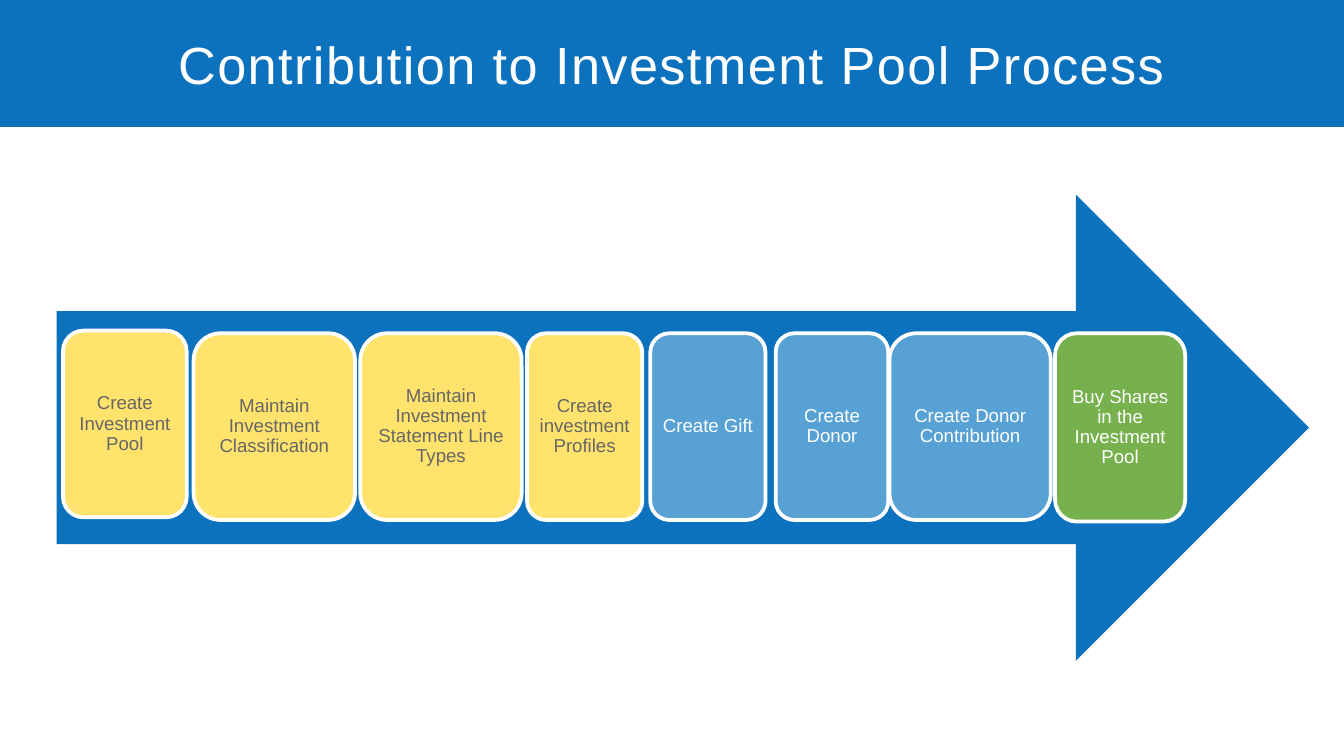
from dataclasses import dataclass

from lxml.etree import SubElement
from pptx import Presentation
from pptx.dml.color import RGBColor
from pptx.enum.shapes import MSO_SHAPE as Preset
from pptx.enum.text import MSO_ANCHOR as Anchor, MSO_AUTO_SIZE as AutoSize, PP_ALIGN as Align
from pptx.oxml.ns import qn
from pptx.util import Cm, Pt

BLUE = RGBColor(0x0C, 0x72, 0xBE)
YELLOW = RGBColor(0xFF, 0xE3, 0x6D)
LIGHT_BLUE = RGBColor(0xA9, 0xD5, 0xED)
GREEN = RGBColor(0x96, 0xC4, 0x2E)
WHITE = RGBColor(0xFF, 0xFF, 0xFF)
GREY = RGBColor(0x66, 0x66, 0x66)


@dataclass(frozen=True)
class Phase:
    fill: RGBColor
    opacity: int
    text_color: RGBColor


@dataclass(frozen=True)
class Step:
    text: str
    left: float
    width: float
    phase: Phase
    top: float = 6.3
    height: float = 3.53


SETUP = Phase(YELLOW, 100, GREY)
DONATION = Phase(LIGHT_BLUE, 48, WHITE)
PURCHASE = Phase(GREEN, 78, WHITE)

STEPS = [
    Step("Create Investment Pool", 1.19, 2.34, SETUP, top=6.25),
    Step("Maintain Investment Classification", 3.66, 3.05, SETUP),
    Step("Maintain Investment Statement Line Types", 6.81, 3.05, SETUP),
    Step("Create investment Profiles", 9.96, 2.18, SETUP),
    Step("Create Gift", 12.29, 2.18, DONATION),
    Step("Create Donor", 14.66, 2.13, DONATION),
    Step("Create Donor Contribution", 16.81, 3.05, DONATION),
    Step("Buy Shares in the Investment Pool", 19.94, 2.46, PURCHASE, height=3.56),
]


def set_fill(shape, color: RGBColor, opacity: int = 100) -> None:
    shape.fill.solid()
    shape.fill.fore_color.rgb = color
    if opacity < 100:
        rgb = shape.fill._xPr.find(qn("a:solidFill")).find(qn("a:srgbClr"))
        SubElement(rgb, qn("a:alpha"), val=str(opacity * 1000))


def write_text(shape, text: str, *, size: float, color: RGBColor,
               inset: float = 0.1, line_spacing: float = 1.0,
               letter_spacing: float = 0) -> None:
    frame = shape.text_frame
    frame.word_wrap = True
    frame.auto_size = AutoSize.NONE
    frame.vertical_anchor = Anchor.MIDDLE
    frame.margin_left = frame.margin_right = Cm(inset)
    frame.margin_top = frame.margin_bottom = Cm(inset)
    paragraph = frame.paragraphs[0]
    paragraph.alignment = Align.CENTER
    paragraph.line_spacing = line_spacing
    run = paragraph.add_run()
    run.text = text
    run.font.name = "Arial"
    run.font.size = Pt(size)
    run.font.color.rgb = color
    if letter_spacing:
        run.font._element.set("spc", str(round(letter_spacing * 100)))


def add_shape(slide, preset: Preset, left: float, top: float, width: float,
              height: float, color: RGBColor, opacity: int = 100):
    shape = slide.shapes.add_shape(preset, Cm(left), Cm(top), Cm(width), Cm(height))
    shape.shadow.inherit = False
    set_fill(shape, color, opacity)
    shape.line.fill.background()
    return shape


def add_step(slide, step: Step) -> None:
    box = add_shape(slide, Preset.ROUNDED_RECTANGLE, step.left, step.top,
                    step.width, step.height, step.phase.fill, step.phase.opacity)
    box.line.color.rgb = WHITE
    box.line.width = Pt(2)
    write_text(box, step.text, size=10, color=step.phase.text_color, line_spacing=0.9)


def main() -> None:
    presentation = Presentation()
    presentation.slide_width = Cm(25.4)
    presentation.slide_height = Cm(14.29)
    slide = presentation.slides.add_slide(presentation.slide_layouts[5])

    # Title band
    title = slide.shapes.title
    title.left, title.top = Cm(0), Cm(0)
    title.width, title.height = presentation.slide_width, Cm(2.4)
    set_fill(title, BLUE)
    write_text(title, "Contribution to Investment Pool Process",
               size=28, color=WHITE, letter_spacing=0.8)

    # Process arrow with its steps
    add_shape(slide, Preset.RIGHT_ARROW, 1.07, 3.68, 23.67, 8.81, BLUE)
    for step in STEPS:
        add_step(slide, step)

    presentation.save("out.pptx")


if __name__ == "__main__":
    main()
